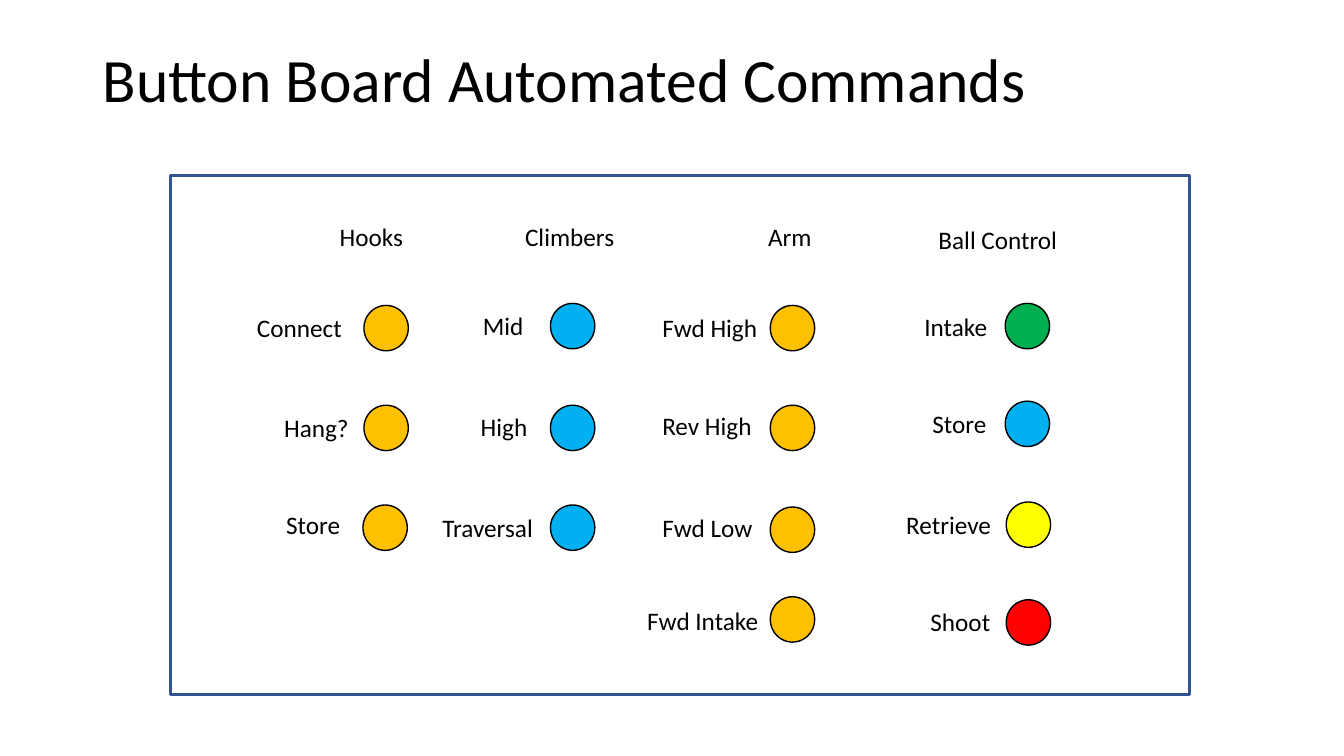
from pptx import Presentation
from pptx.dml.color import RGBColor
from pptx.enum.shapes import MSO_SHAPE as Shape
from pptx.enum.text import MSO_ANCHOR as Anchor
from pptx.util import Pt

PX = 9144
FONT = "Calibri"
BLACK, FRAME_BLUE = "000000", "325491"
AMBER, BLUE, GREEN, YELLOW, RED = "FFC000", "00B0F0", "00B050", "FFFF00", "FF0000"
BUTTON_WIDTH, BUTTON_HEIGHT, LABEL_HEIGHT = 44, 45, 40

TITLE = ("Button Board Automated Commands", 92, 40, 1150, 84)
FRAME = (169, 174, 1011, 515)

# heading: text, left, top, width
# button: text, label left, label top, label width, button left, button top, colour
COLUMNS = [
    (("Hooks", 327, 215, 113), [
        ("Connect", 245, 305, 112, 361, 303, AMBER),
        ("Hang?", 272, 404, 96, 361, 402, AMBER),
        ("Store", 274, 500, 96, 360, 501, AMBER),
    ]),
    (("Climbers", 511, 215, 113), [
        ("Mid", 469, 303, 96, 546, 301, BLUE),
        ("High", 467, 403, 96, 546, 402, BLUE),
        ("Traversal", 429, 503, 113, 546, 501, BLUE),
    ]),
    (("Arm", 752, 215, 69), [
        ("Fwd High", 647, 305, 118, 764, 303, AMBER),
        ("Rev High", 647, 402, 118, 764, 402, AMBER),
        ("Fwd Low", 647, 503, 118, 764, 503, AMBER),
        ("Fwd Intake", 632, 596, 141, 764, 592, AMBER),
    ]),
    (("Ball Control", 921, 218, 154), [
        ("Intake", 907, 304, 93, 997, 301, GREEN),
        ("Store", 915, 400, 93, 997, 398, BLUE),
        ("Retrieve", 889, 500, 106, 998, 498, YELLOW),
        ("Shoot", 913, 597, 106, 998, 595, RED),
    ]),
]


def color(value):
    return RGBColor.from_string(value)


def add_text(page, text, left, top, width, height=LABEL_HEIGHT, size=18):
    box = page.shapes.add_textbox(left * PX, top * PX, width * PX, height * PX)
    box.text_frame.word_wrap = True
    para = box.text_frame.paragraphs[0]
    span = para.add_run()
    span.text = text
    span.font.name = FONT
    span.font.size = Pt(size)
    span.font.color.rgb = color(BLACK)
    return box


def add_outlined(page, kind, left, top, width, height, line, line_width, fill=None):
    shape = page.shapes.add_shape(kind, left * PX, top * PX, width * PX, height * PX)
    shape.shadow.inherit = False
    shape.line.color.rgb = color(line)
    shape.line.width = Pt(line_width)
    if fill:
        shape.fill.solid()
        shape.fill.fore_color.rgb = color(fill)
    else:
        shape.fill.background()


def main():
    deck = Presentation()
    deck.slide_width, deck.slide_height = 1333 * PX, 750 * PX
    page = deck.slides.add_slide(deck.slide_layouts[6])

    title = add_text(page, *TITLE, size=44)
    title.text_frame.vertical_anchor = Anchor.MIDDLE
    title.text_frame.paragraphs[0].line_spacing = 0.9

    add_outlined(page, Shape.RECTANGLE, *FRAME, FRAME_BLUE, 2)
    for heading, buttons in COLUMNS:
        add_text(page, *heading)
        for text, label_left, label_top, label_width, left, top, fill in buttons:
            add_outlined(page, Shape.OVAL, left, top, BUTTON_WIDTH, BUTTON_HEIGHT,
                         BLACK, 1, fill)
            add_text(page, text, label_left, label_top, label_width)

    deck.save("out.pptx")


if __name__ == "__main__":
    main()
